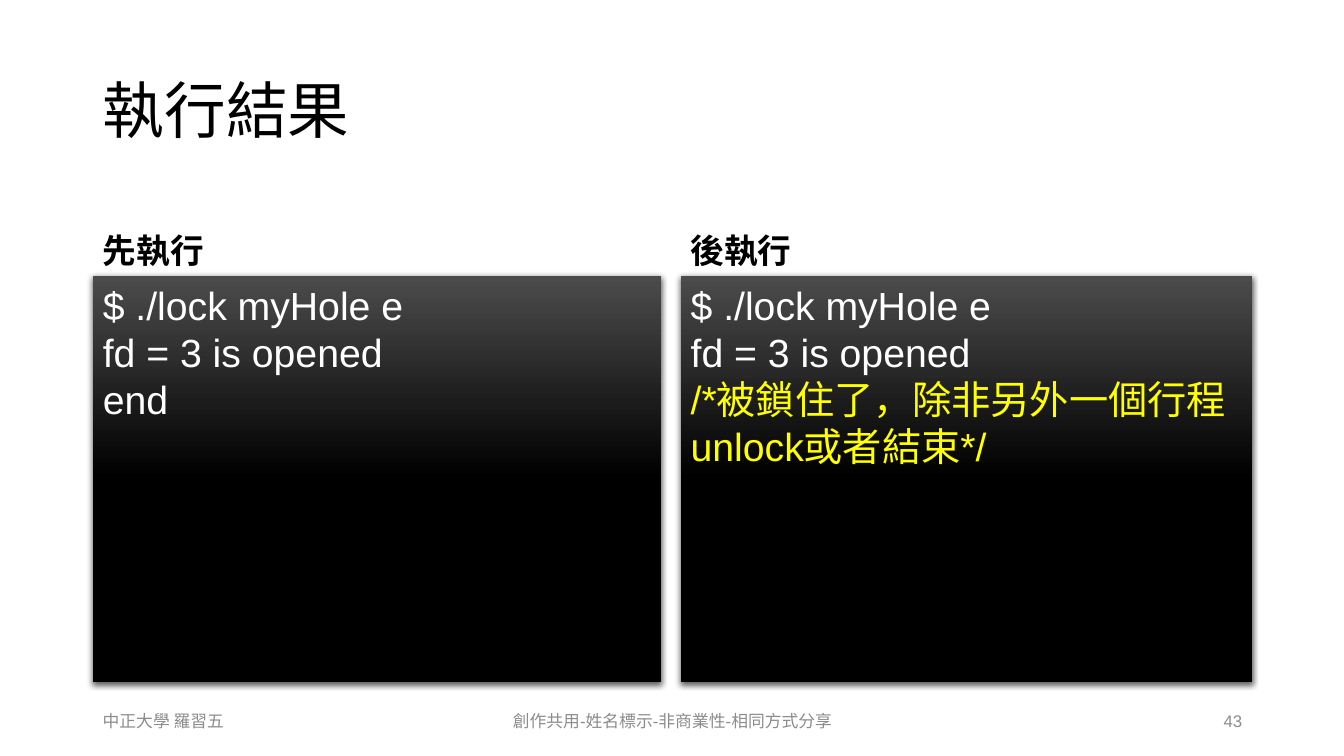
from lxml import etree
from pptx import Presentation
from pptx import util as u
from pptx.dml.color import RGBColor
from pptx.enum import text
from pptx.oxml import ns

PX = 9144
FONT = "Arial"
COLORS = {
    "ink": "000000",
    "gray": "8C8C8C",
    "white": "FFFFFF",
    "yellow": "FFFF00",
    "gradient_top": "4B4B4B",
}
LEFT, CENTER, RIGHT = text.PP_ALIGN.LEFT, text.PP_ALIGN.CENTER, text.PP_ALIGN.RIGHT
TOP, MIDDLE, BOTTOM = text.MSO_ANCHOR.TOP, text.MSO_ANCHOR.MIDDLE, text.MSO_ANCHOR.BOTTOM
TITLE = {"size": 44, "bold": False, "spacing": 0.9, "before": 0, "anchor": MIDDLE}
HEADING = {"size": 24, "bold": True, "spacing": 0.9, "before": 10, "anchor": BOTTOM}
CODE = {"size": 28, "bold": False, "spacing": 1.0, "before": 0, "anchor": TOP}
FOOTER = {"size": 12, "bold": False, "spacing": 1.0, "before": 0, "anchor": MIDDLE}
COMMAND = [("$ ./lock myHole e", "white"), ("fd = 3 is opened", "white")]
COLUMNS = [
    (92, 564, "先執行", COMMAND + [("end", "white")]),
    (675, 567, "後執行", COMMAND + [("/*被鎖住了，除非另外一個行程unlock或者結束*/", "yellow")]),
]
FOOTERS = [
    (92, 300, "中正大學 羅習五", LEFT),
    (442, 450, "創作共用-姓名標示-非商業性-相同方式分享", CENTER),
    (942, 300, "43", RIGHT),
]


def color(name):
    """Return the named colour."""
    return RGBColor.from_string(COLORS[name])


def set_values(target, values):
    """Set each attribute of the target from a dict."""
    for name, value in values.items():
        setattr(target, name, value)


def place(shape, left, top, width, height):
    """Move and size a shape in px."""
    box = {"left": left, "top": top, "width": width, "height": height}
    set_values(shape, {name: length * PX for name, length in box.items()})


def write(shape, lines, style, align=LEFT):
    """Write coloured lines as paragraphs without bullets."""
    frame = shape.text_frame
    set_values(frame, {
        "word_wrap": True,
        "auto_size": text.MSO_AUTO_SIZE.NONE,
        "vertical_anchor": style["anchor"],
    })
    for index, (line, color_name) in enumerate(lines):
        paragraph = frame.add_paragraph() if index else frame.paragraphs[0]
        set_values(paragraph, {
            "alignment": align,
            "line_spacing": style["spacing"],
            "space_before": u.Pt(style["before"]),
            "space_after": u.Pt(0),
        })
        properties = paragraph._p.get_or_add_pPr()
        properties.set("marL", "0")
        properties.set("indent", "0")
        etree.SubElement(properties, ns.qn("a:buNone"))
        run = paragraph.add_run()
        run.text = line
        set_values(run.font, {"name": FONT, "size": u.Pt(style["size"]), "bold": style["bold"]})
        run.font.color.rgb = color(color_name)


def paint_terminal(shape):
    """Give a code panel its dark gradient and soft shadow."""
    shape.fill.gradient()
    shape.fill.gradient_angle = 270
    stops = zip(shape.fill.gradient_stops, [(0, "gradient_top"), (0.5, "ink")])
    for stop, (position, color_name) in stops:
        stop.position = position
        stop.color.rgb = color(color_name)
    shape.shadow.inherit = False
    effects = shape._element.spPr.find(ns.qn("a:effectLst"))
    shadow = etree.SubElement(effects, ns.qn("a:outerShdw"), {
        "blurRad": str(u.Pt(4.5)),
        "dist": str(u.Pt(1.5)),
        "dir": "5400000",
        "algn": "ctr",
        "rotWithShape": "0",
    })
    shade = etree.SubElement(shadow, ns.qn("a:srgbClr"), val=COLORS["ink"])
    etree.SubElement(shade, ns.qn("a:alpha"), val="63000")


def add_column(heading, panel, left, width, label, lines):
    """Fill one heading and the code panel below it."""
    place(heading, left, 184, width, 90)
    write(heading, [(label, "ink")], HEADING)
    place(panel, left, 274, width, 403)
    paint_terminal(panel)
    write(panel, lines, CODE)


def add_footer(slide, left, width, label, align):
    """Add one small gray text at the foot of the slide."""
    box = slide.shapes.add_textbox(0, 0, 0, 0)
    place(box, left, 695, width, 40)
    write(box, [(label, "gray")], FOOTER, align)


def main():
    """Build and save the slide."""
    presentation = Presentation()
    set_values(presentation, {"slide_width": 1333 * PX, "slide_height": 750 * PX})
    slide = presentation.slides.add_slide(presentation.slide_layouts.get_by_name("Comparison"))
    title, *bodies = slide.placeholders
    place(title, 92, 40, 1150, 145)
    write(title, [("執行結果", "ink")], TITLE)
    for heading, panel, column in zip(bodies[::2], bodies[1::2], COLUMNS):
        add_column(heading, panel, *column)
    for footer in FOOTERS:
        add_footer(slide, *footer)
    presentation.save("out.pptx")


if __name__ == "__main__":
    main()
